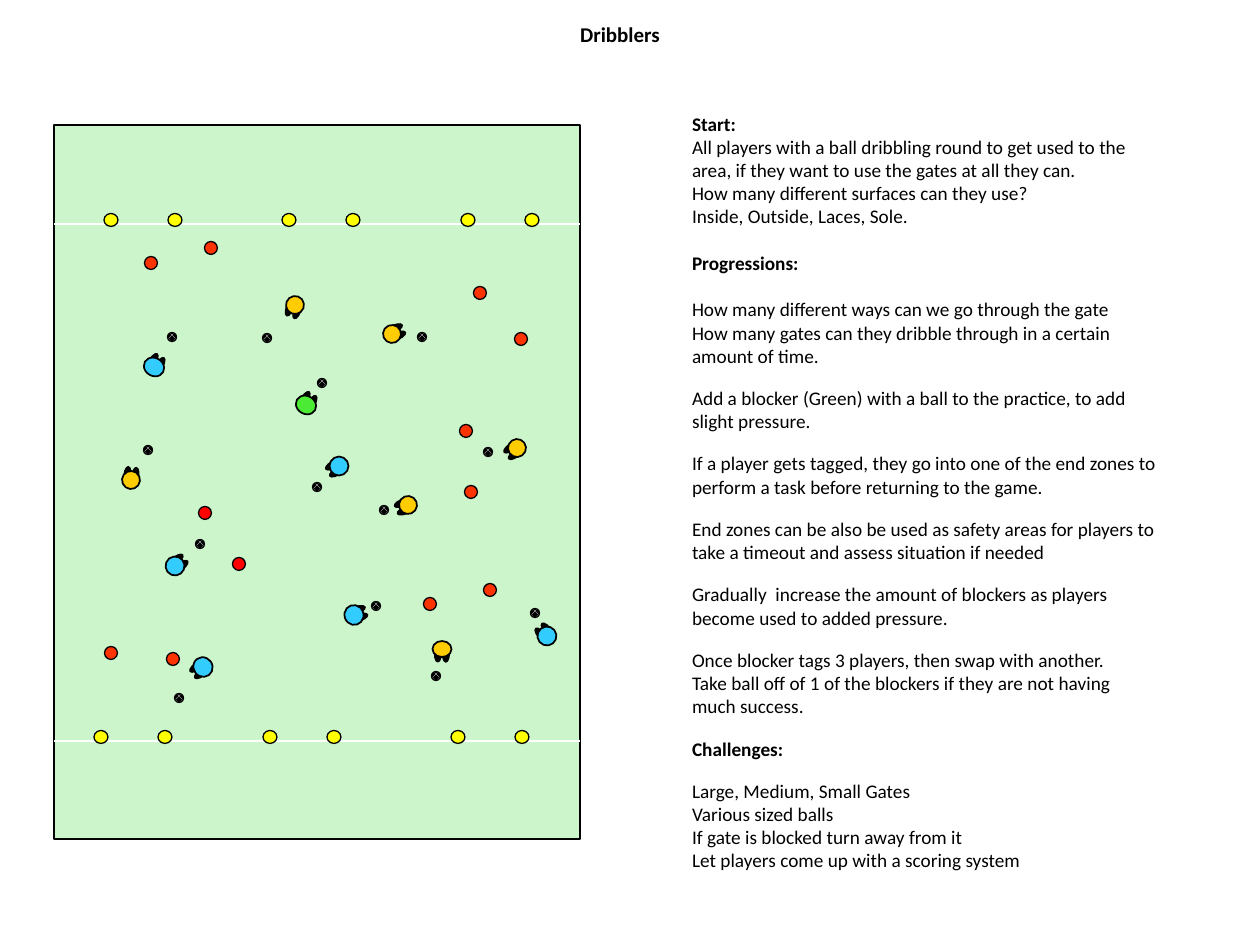
import math

import pptx
import pptx.util
from lxml import etree
from pptx.dml.color import RGBColor
from pptx.enum.dml import MSO_PATTERN
from pptx.enum.shapes import MSO_CONNECTOR, MSO_SHAPE
from pptx.enum.text import MSO_ANCHOR, MSO_AUTO_SIZE, PP_ALIGN
from pptx.oxml.ns import qn

EMU_PER_PX = 914400 / 126
FONT = "Calibri"
COLOURS = {
    "black": "000000",
    "white": "FFFFFF",
    "pitch": "CCF5CC",
    "gate": "FFFF00",
    "orange": "FF3300",
    "red": "FF0000",
    "blue": "33CCFF",
    "amber": "FFCC00",
    "green": "4BEB35",
}

PITCH = (54, 125, 526, 714)
GATE_WIDTH = 64
# End line y, gate centre y, x of each gate's left cone
END_ZONES = [(224, 220, (111, 289, 468)), (741, 737, (101, 270, 458))]

CONES = {
    "orange": [(151, 263), (211, 248), (480, 293), (521, 339), (466, 431), (471, 492),
               (430, 604), (490, 590), (111, 653), (173, 659)],
    "red": [(205, 513), (239, 564)],
}
BALLS = [(172, 337), (267, 338), (422, 337), (322, 383), (488, 452), (148, 450), (317, 487),
         (384, 510), (200, 544), (376, 606), (535, 613), (436, 676), (179, 698)]

# Colour, head centre x and y, head width and height, direction faced in degrees
PLAYERS = [
    ("blue", 203, 667, 20, 19, 234),
    ("blue", 175, 566, 19, 19, 52),
    ("blue", 547, 636, 19, 19, 321),
    ("blue", 339, 466, 19, 19, 240),
    ("blue", 154, 367, 21, 18, 30),
    ("blue", 354, 615, 20, 19, 72),
    ("amber", 295, 305, 18, 18, 200),
    ("amber", 408, 505, 18, 18, 248),
    ("amber", 517, 448, 18, 18, 235),
    ("amber", 131, 480, 18, 18, 6),
    ("amber", 442, 649, 19, 16, 181),
    ("amber", 392, 334, 18, 18, 66),
    ("green", 306, 405, 21, 18, 30),
]

SMALL_GAP, LINE_GAP = 11, 13.4
# Space before in points, bold, wording
SESSION_NOTES = [
    (0, True, "Start:"),
    (0, False, "All players with a ball dribbling round to get used to the area, "
               "if they want to use the gates at all they can."),
    (0, False, "How many different surfaces can they use?"),
    (0, False, "Inside, Outside, Laces, Sole."),
    (LINE_GAP, True, "Progressions:"),
    (LINE_GAP, False, "How many different ways can we go through the gate"),
    (0, False, "How many gates can they dribble through in a certain amount of time."),
    (SMALL_GAP, False, "Add a blocker (Green) with a ball to the practice, to add slight pressure."),
    (SMALL_GAP, False, "If a player gets tagged, they go into one of the end zones "
                       "to perform a task before returning to the game."),
    (SMALL_GAP, False, "End zones can be also be used as safety areas for players "
                       "to take a timeout and assess situation if needed"),
    (SMALL_GAP, False, "Gradually  increase the amount of blockers as players "
                       "become used to added pressure."),
    (SMALL_GAP, False, "Once blocker tags 3 players, then swap with another."),
    (0, False, "Take ball off of 1 of the blockers if they are not having much success."),
    (SMALL_GAP, True, "Challenges:"),
    (SMALL_GAP, False, "Large, Medium, Small Gates"),
    (0, False, "Various sized balls"),
    (0, False, "If gate is blocked turn away from it"),
    (0, False, "Let players come up with a scoring system"),
]


def px(length):
    return pptx.util.Emu(round(length * EMU_PER_PX))


def colour(name):
    return RGBColor.from_string(COLOURS[name])


def place(shape, left, top, width, height):
    shape.left, shape.top = px(left), px(top)
    shape.width, shape.height = px(width), px(height)


def format_run(run, size, bold):
    run.font.name = FONT
    run.font.size = pptx.util.Pt(size)
    run.font.bold = bold
    run.font.color.rgb = colour("black")


def set_frame(text_frame, side_margin, end_margin):
    text_frame.word_wrap = True
    text_frame.auto_size = MSO_AUTO_SIZE.NONE
    text_frame.vertical_anchor = MSO_ANCHOR.TOP
    text_frame.margin_left = text_frame.margin_right = px(side_margin)
    text_frame.margin_top = text_frame.margin_bottom = px(end_margin)


def fill_title(title):
    place(title, 382, 16, 476, 49)
    set_frame(title.text_frame, 5, 5)
    title.text_frame.text = "Dribblers"
    paragraph = title.text_frame.paragraphs[0]
    paragraph.alignment = PP_ALIGN.CENTER
    format_run(paragraph.runs[0], 12, True)


def remove_bullet(paragraph):
    properties = paragraph._p.get_or_add_pPr()
    properties.set("marL", "0")
    properties.set("indent", "0")
    etree.SubElement(properties, qn("a:buNone"))


def fill_notes(body):
    place(body, 679, 106, 493, 830)
    set_frame(body.text_frame, 13, 6)
    body.text_frame.text = "\n".join(wording for _, _, wording in SESSION_NOTES)
    for paragraph, (gap, bold, _) in zip(body.text_frame.paragraphs, SESSION_NOTES):
        remove_bullet(paragraph)
        paragraph.alignment = PP_ALIGN.LEFT
        paragraph.space_before = pptx.util.Pt(gap)
        format_run(paragraph.runs[0], 11, bold)


def add_filled(shapes, kind, box, fill, line_width=0.75):
    shape = shapes.add_shape(kind, *map(px, box))
    shape.shadow.inherit = False
    shape.fill.solid()
    shape.fill.fore_color.rgb = colour(fill)
    shape.line.color.rgb = colour("black")
    shape.line.width = pptx.util.Pt(line_width)
    return shape


def add_oval(shapes, x, y, width, height, fill, line_width=0.75):
    """Add an oval centred on x, y."""
    box = (x - width / 2, y - height / 2, width, height)
    return add_filled(shapes, MSO_SHAPE.OVAL, box, fill, line_width)


def add_player(slide, fill, x, y, width, height, angle):
    """Add two feet, set ahead of and to each side of the centre, below a head."""
    group = slide.shapes.add_group_shape()
    sine, cosine = math.sin(math.radians(angle)), math.cos(math.radians(angle))
    ahead = 4
    for side in (-4, 4):
        foot = add_oval(group.shapes, x + side * cosine + ahead * sine,
                        y + side * sine - ahead * cosine, 7, 18, "black")
        foot.rotation = angle
    head = add_oval(group.shapes, x, y, width, height, fill, 1)
    head.rotation = angle


def add_ball(slide, x, y):
    ball = add_oval(slide.shapes, x, y, 9, 9, "black")
    ball.fill.patterned()
    ball.fill.pattern = MSO_PATTERN.SOLID_DIAMOND
    ball.fill.fore_color.rgb = colour("white")
    ball.fill.back_color.rgb = colour("black")


def add_end_line(slide, y):
    left, _, width, _ = PITCH
    line = slide.shapes.add_connector(MSO_CONNECTOR.STRAIGHT, px(left), px(y), px(left + width), px(y))
    line.line.color.rgb = colour("white")
    line.line.width = pptx.util.Pt(1.5)
    etree.SubElement(line._element.spPr, qn("a:effectLst"))


def add_gate(slide, left, y):
    group = slide.shapes.add_group_shape()
    for x in (left, left + GATE_WIDTH):
        add_oval(group.shapes, x, y, 14, 13, "gate")


def main():
    presentation = pptx.Presentation()
    presentation.slide_width, presentation.slide_height = px(1260), px(945)
    slide = presentation.slides.add_slide(presentation.slide_layouts[1])
    fill_title(slide.shapes.title)
    fill_notes(slide.placeholders[1])
    add_filled(slide.shapes, MSO_SHAPE.RECTANGLE, PITCH, "pitch")
    for line_y, gate_y, gate_lefts in END_ZONES:
        add_end_line(slide, line_y)
        for left in gate_lefts:
            add_gate(slide, left, gate_y)
    for fill, centres in CONES.items():
        for x, y in centres:
            add_oval(slide.shapes, x, y, 13, 13, fill)
    for player in PLAYERS:
        add_player(slide, *player)
    for x, y in BALLS:
        add_ball(slide, x, y)
    presentation.save("out.pptx")


if __name__ == "__main__":
    main()
